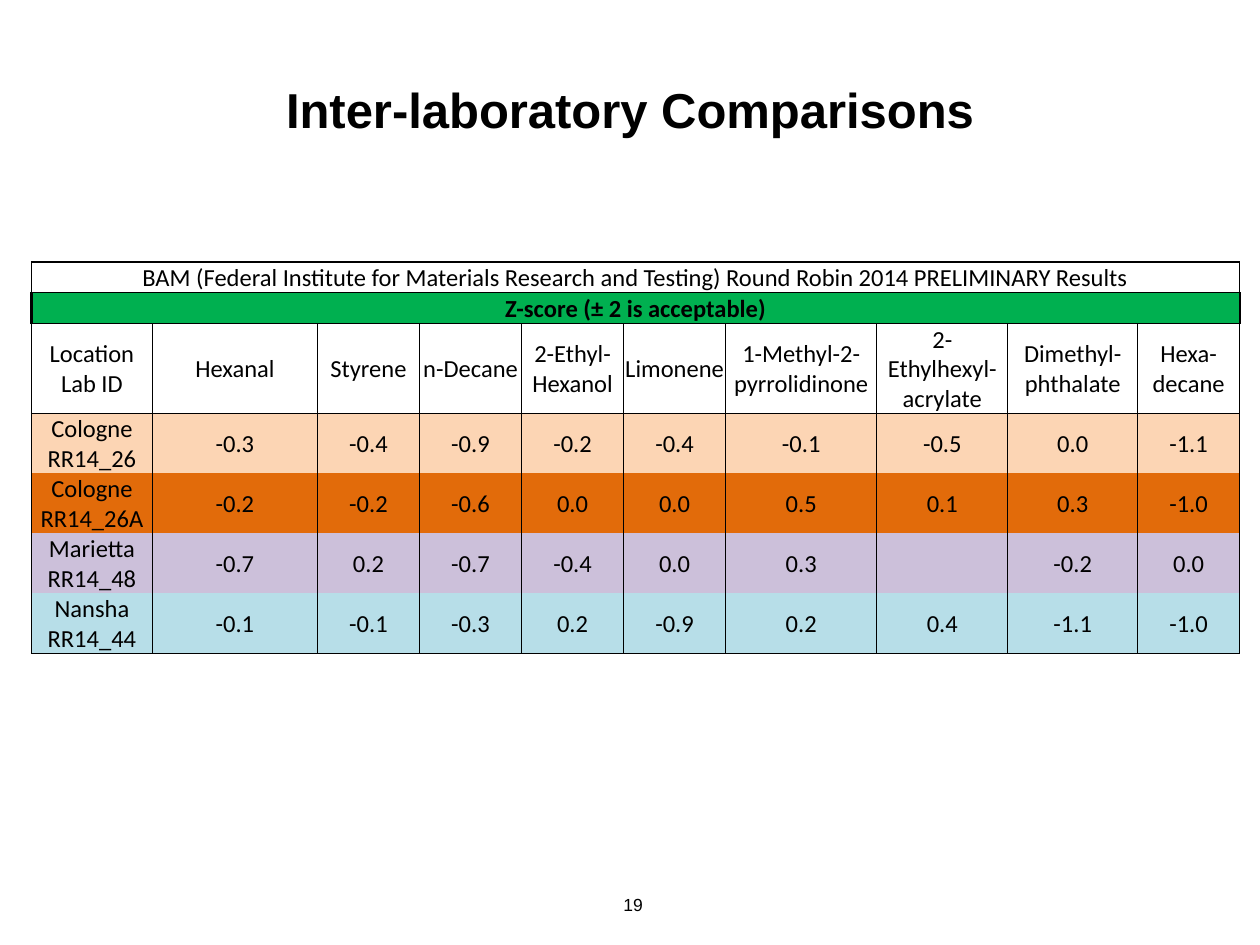
from lxml.etree import SubElement
from pptx import Presentation
from pptx.dml.color import RGBColor
from pptx.enum.text import MSO_ANCHOR as ANCHOR, MSO_AUTO_SIZE as AUTO, PP_ALIGN as ALIGN
from pptx.oxml.ns import qn
from pptx.util import Inches, Pt

WIDTH, HEIGHT = 10, 7.5
PLAIN_STYLE = "{2D5ABB26-0587-4C30-8999-92F81FD0307C}"
BLACK = "000000"

BANNERS = [
    "BAM (Federal Institute for Materials Research and Testing) "
    "Round Robin 2014 PRELIMINARY Results",
    "Z-score (± 2 is acceptable)",
]
# \v is a line break inside a paragraph
HEADINGS = ["Location\vLab ID", "Hexanal", "Styrene", "n-Decane", "2-Ethyl-\vHexanol",
            "Limonene", "1-Methyl-2-\vpyrrolidinone", "2-Ethylhexyl-\vacrylate",
            "Dimethyl-\vphthalate", "Hexa-\vdecane"]
LABS = [
    ("Cologne\vRR14_26", "-0.3 -0.4 -0.9 -0.2 -0.4 -0.1 -0.5 0.0 -1.1", "FCD5B4"),
    ("Cologne\vRR14_26A", "-0.2 -0.2 -0.6 0.0 0.0 0.5 0.1 0.3 -1.0", "E26B0A"),
    ("Marietta\vRR14_48", "-0.7 0.2 -0.7 -0.4 0.0 0.3 – -0.2 0.0", "CCC0DA"),
    ("Nansha\vRR14_44", "-0.1 -0.1 -0.3 0.2 -0.9 0.2 0.4 -1.1 -1.0", "B7DEE8"),
]
MISSING = "–"
COL_WIDTHS = [0.96, 1.31, 0.81, 0.81, 0.81, 0.81, 1.2, 1.04, 1.03, 0.81]
ROW_HEIGHTS = [0.21, 0.21, 0.62, 0.42, 0.42, 0.42, 0.43]
COL_RULES = [1, 1] + [0.5] * 8 + [1]
ROW_RULES = [1, 0.5, 0.5, 0, 0, 0, 0, 1]


def rgb(color):
    return RGBColor.from_string(color)


def style(p, size, font, align=ALIGN.CENTER, bold=False):
    p.alignment = align
    p.font.size, p.font.name, p.font.bold = Pt(size), font, bold
    p.font.color.rgb = rgb(BLACK)


def add_text(slide, box, text, size, **look):
    tf = slide.shapes.add_textbox(*map(Inches, box)).text_frame
    tf.word_wrap = True
    tf.text = text
    style(tf.paragraphs[0], size, "Arial", **look)
    return tf


def add_title(slide, box):
    tf = add_text(slide, box, "Inter-laboratory Comparisons", 28, bold=True)
    tf.auto_size = AUTO.SHAPE_TO_FIT_TEXT


def add_page_number(slide, box):
    tf = add_text(slide, box, "19", 10, align=ALIGN.RIGHT)
    tf.vertical_anchor = ANCHOR.MIDDLE


def set_borders(cell, left, right, top, bottom):
    """Rule the cell's sides with the given widths in points; 0 leaves a side open."""
    tc_pr = cell._tc.get_or_add_tcPr()
    for side, width in zip("LRTB", (left, right, top, bottom)):
        if width:
            ln = SubElement(tc_pr, qn(f"a:ln{side}"), w=str(Pt(width)))
            SubElement(SubElement(ln, qn("a:solidFill")), qn("a:srgbClr"), val=BLACK)


def fill_cell(cell, text, borders, color=None, anchor=ANCHOR.MIDDLE, bold=False):
    cell.text = text
    style(cell.text_frame.paragraphs[0], 14, "Calibri", bold=bold)
    cell.margin_left = cell.margin_right = cell.margin_top = Inches(0.01)
    cell.margin_bottom = 0
    cell.vertical_anchor = anchor
    set_borders(cell, *borders)
    if color:
        cell.fill.solid()
        cell.fill.fore_color.rgb = rgb(color)
    else:
        cell.fill.background()


def add_scores(slide, box):
    frame = slide.shapes.add_table(len(ROW_HEIGHTS), len(COL_WIDTHS), *map(Inches, box))
    for style_id in frame.element.iter(qn("a:tableStyleId")):
        style_id.text = PLAIN_STYLE
    table = frame.table
    table.first_row = table.horz_banding = False
    for col, width in zip(table.columns, COL_WIDTHS):
        col.width = Inches(width)
    for row, height in zip(table.rows, ROW_HEIGHTS):
        row.height = Inches(height)

    banner_looks = [(1, None, False), (1.5, "00B050", True)]
    for r, (text, (side, color, bold)) in enumerate(zip(BANNERS, banner_looks)):
        cell = table.cell(r, 0)
        cell.merge(table.cell(r, len(COL_WIDTHS) - 1))
        fill_cell(cell, text, (side, side, *ROW_RULES[r:r + 2]), color, ANCHOR.BOTTOM, bold)

    body = [(HEADINGS, None)]
    body += [([lab, *scores.split()], color) for lab, scores, color in LABS]
    for r, (texts, color) in enumerate(body, len(BANNERS)):
        for c, text in enumerate(texts):
            borders = (*COL_RULES[c:c + 2], *ROW_RULES[r:r + 2])
            fill_cell(table.cell(r, c), "" if text == MISSING else text, borders, color)


def main():
    prs = Presentation()
    prs.slide_width, prs.slide_height = Inches(WIDTH), Inches(HEIGHT)
    slide = prs.slides.add_slide(prs.slide_layouts[6])
    add_page_number(slide, (0.45 * WIDTH, 0.93 * HEIGHT, 0.07 * WIDTH, 0.4))
    add_title(slide, (0, 0.58, WIDTH, 0.57))
    add_scores(slide, (0.25, 2.08, sum(COL_WIDTHS), sum(ROW_HEIGHTS)))
    prs.save("out.pptx")


if __name__ == "__main__":
    main()
